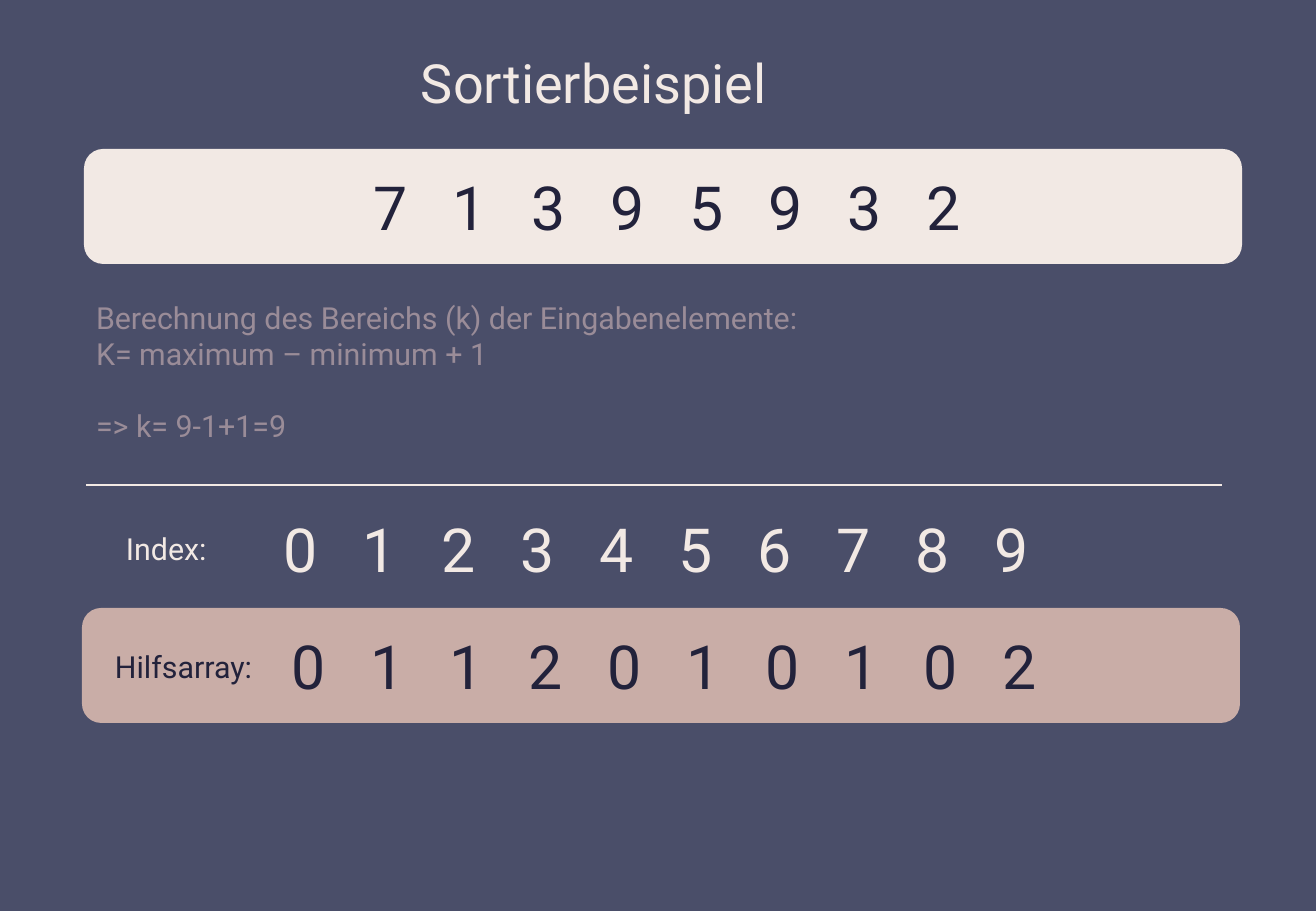
from pptx import Presentation
from pptx.dml.color import RGBColor
from pptx.enum.shapes import MSO_CONNECTOR, MSO_SHAPE
from pptx.enum.text import MSO_ANCHOR, MSO_AUTO_SIZE, PP_ALIGN
from pptx.oxml.ns import qn
from pptx.util import Pt
from lxml.etree import SubElement

EMU_PER_PX = 7526
BACKGROUND, CREAM, ROSE, MAUVE, NAVY = "4A4E69", "F2E9E4", "C9ADA7", "9A8C98", "22223B"
INSET_X, INSET_Y = 12, 6
DIGIT_STEP = 79


def px(length):
    return length * EMU_PER_PX


def color(hex_value):
    return RGBColor.from_string(hex_value)


def place(shape, left, top, width, height):
    box = {"left": left, "top": top, "width": width, "height": height}
    for name, length in box.items():
        setattr(shape, name, px(length))


def write(shape, lines, size, hex_value, anchor=MSO_ANCHOR.TOP, inset_left=INSET_X):
    frame = shape.text_frame
    frame.text = "\n".join(lines)
    frame_format = {
        "auto_size": MSO_AUTO_SIZE.NONE,
        "word_wrap": True,
        "vertical_anchor": anchor,
        "margin_left": px(inset_left),
        "margin_right": px(INSET_X),
        "margin_top": px(INSET_Y),
        "margin_bottom": px(INSET_Y),
    }
    for name, value in frame_format.items():
        setattr(frame, name, value)
    font_format = {"name": "Roboto", "size": Pt(size)}
    for paragraph in frame.paragraphs:
        paragraph.alignment = PP_ALIGN.LEFT
        paragraph.space_before = Pt(0)
        for run in paragraph.runs:
            for name, value in font_format.items():
                setattr(run.font, name, value)
            run.font.color.rgb = color(hex_value)


def write_digits(shape, digits, inset_left, hex_value):
    """Spread the digits over evenly spaced tab stops."""
    write(shape, ["\t".join(digits)], 36, hex_value, MSO_ANCHOR.MIDDLE, inset_left)
    properties = shape.text_frame.paragraphs[0]._p.get_or_add_pPr()
    tabs = SubElement(properties, qn("a:tabLst"))
    for position in range(1, len(digits)):
        SubElement(tabs, qn("a:tab"), pos=str(px(position * DIGIT_STEP)), algn="l")


def add_label(slide, text, left, top, width, height, hex_value):
    label = slide.shapes.add_textbox(px(left), px(top), px(width), px(height))
    write(label, [text], 18, hex_value)


def add_array_bar(slide, digits, left, top, inset_left, fill):
    bar = slide.shapes.add_shape(
        MSO_SHAPE.ROUNDED_RECTANGLE, px(left), px(top), px(1158), px(115))
    bar.shadow.inherit = False
    bar.fill.solid()
    bar.fill.fore_color.rgb = color(fill)
    bar.line.fill.background()
    write_digits(bar, digits, inset_left, NAVY)


def add_divider(slide, left, right, y):
    divider = slide.shapes.add_connector(
        MSO_CONNECTOR.STRAIGHT, px(left), px(y), px(right), px(y))
    divider.line.color.rgb = color(CREAM)
    divider.line.width = Pt(1.5)
    SubElement(divider._element.spPr, qn("a:effectLst"))


def fill_calculation(body):
    place(body, 84, 293, 746, 159)
    write(body, ["Berechnung des Bereichs (k) der Eingabenelemente:",
                 "K= maximum – minimum + 1",
                 "=> k= 9-1+1=9"], 18, MAUVE)
    paragraphs = body.text_frame.paragraphs
    paragraphs[-1].space_before = Pt(21)
    for paragraph in paragraphs:
        properties = paragraph._p.get_or_add_pPr()
        properties.set("marL", "0")
        properties.set("indent", "0")
        SubElement(properties, qn("a:buNone"))


def main():
    presentation = Presentation()
    presentation.slide_width = px(1316)
    presentation.slide_height = px(911)
    slide = presentation.slides.add_slide(presentation.slide_layouts[1])
    slide.background.fill.solid()
    slide.background.fill.fore_color.rgb = color(BACKGROUND)

    title, body = slide.placeholders
    place(title, 409, 44, 384, 78)
    write(title, ["Sortierbeispiel"], 32, CREAM)
    fill_calculation(body)

    add_array_bar(slide, "71395932", 84, 149, 284, CREAM)
    add_divider(slide, 86, 1222, 485)

    add_label(slide, "Index:", 114, 524, 106, 49, CREAM)
    index_row = slide.shapes.add_textbox(px(272), px(505), px(799), px(86))
    write_digits(index_row, "0123456789", INSET_X, CREAM)

    add_array_bar(slide, "0112010102", 82, 608, 204, ROSE)
    add_label(slide, "Hilfsarray:", 103, 642, 169, 49, NAVY)

    presentation.save("out.pptx")


if __name__ == "__main__":
    main()
